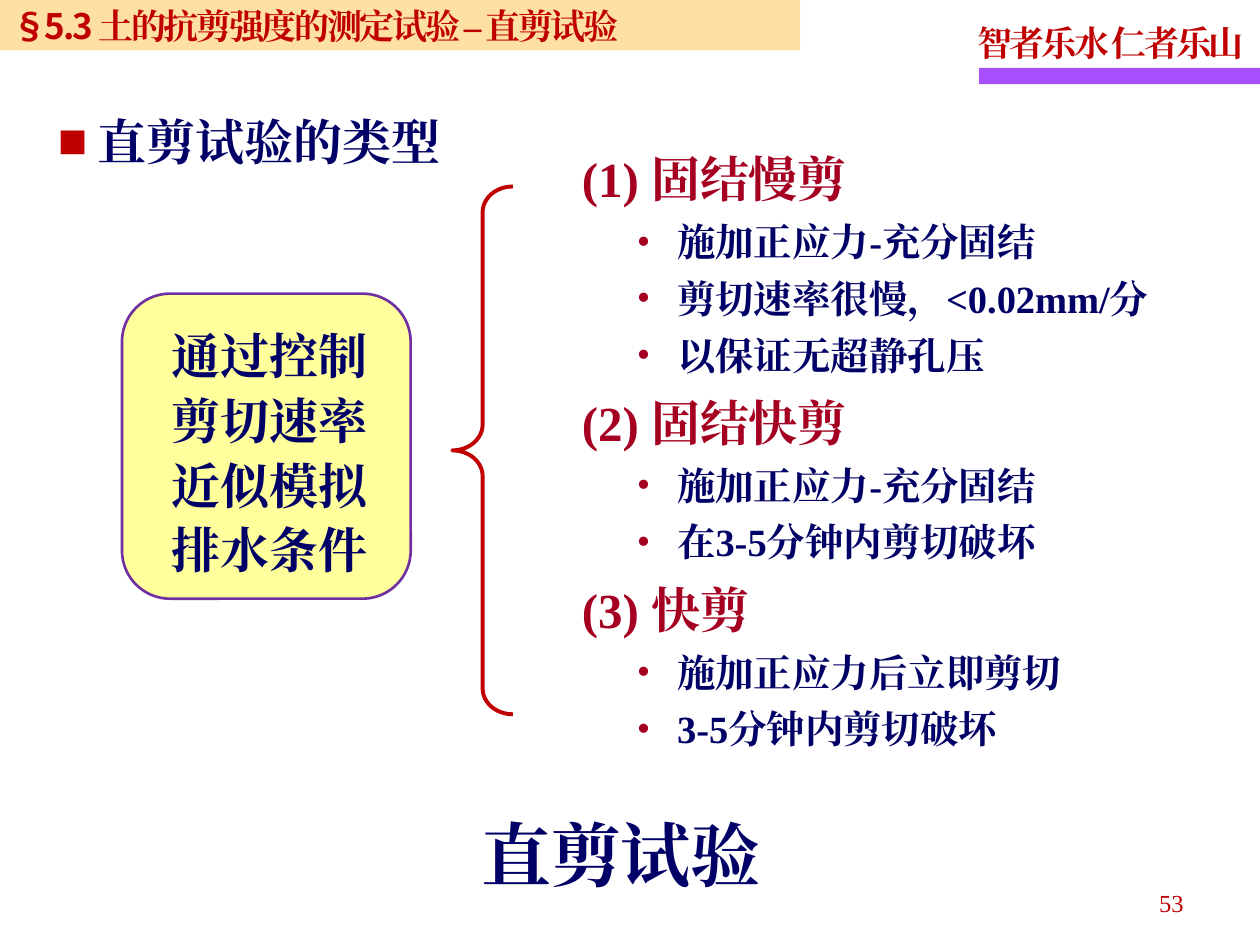
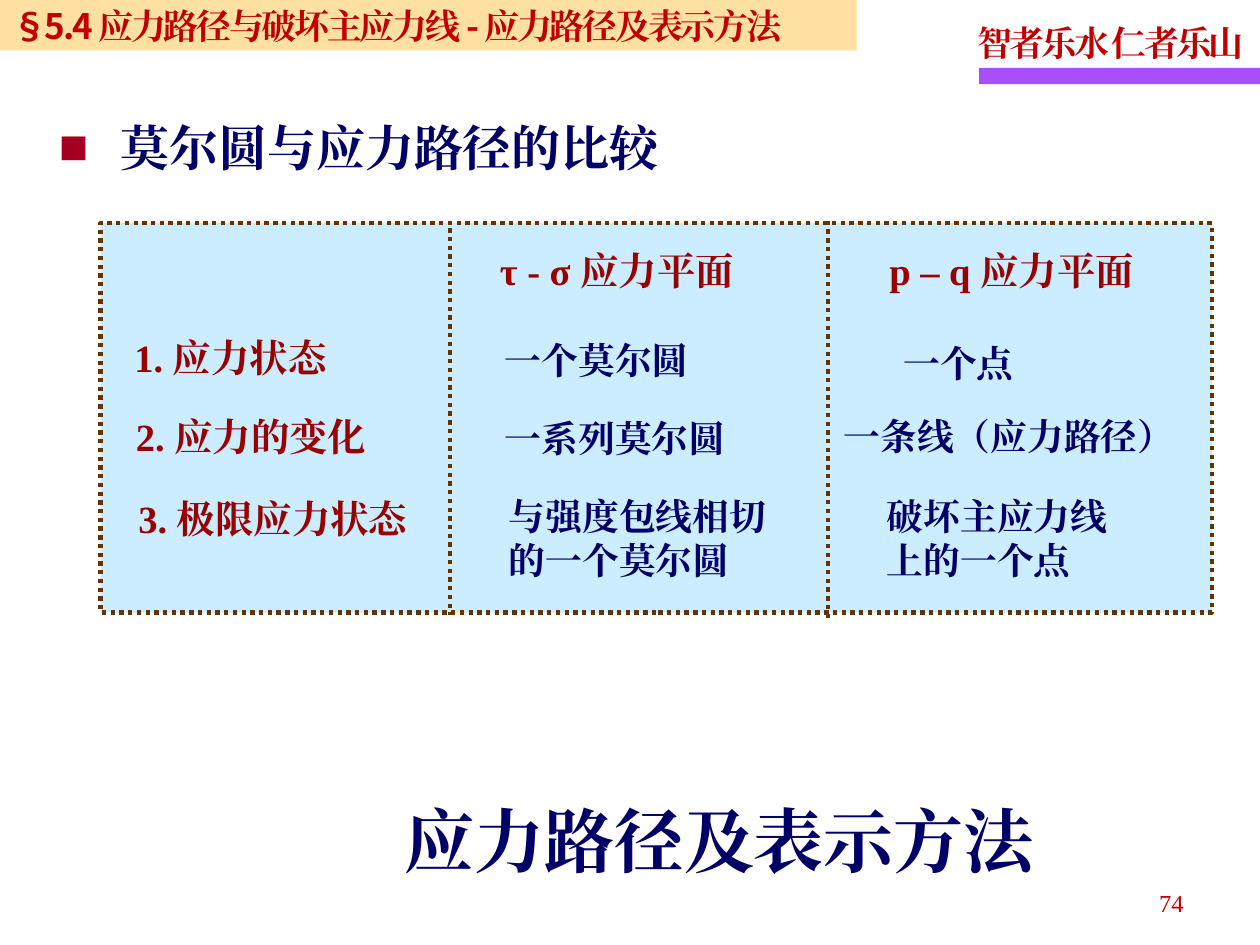
"""Build two soil mechanics slides: direct shear test types and a stress path comparison."""
from typing import NamedTuple, Optional

from lxml import etree
from pptx import Presentation
from pptx.dml.color import RGBColor
from pptx.enum import dml, shapes, text
from pptx.oxml import ns
from pptx.util import Cm, Pt

RED = RGBColor(0xC0, 0x00, 0x00)
CRIMSON = RGBColor(0xA5, 0x00, 0x21)
MAROON = RGBColor(0x99, 0x00, 0x00)
NAVY = RGBColor(0x00, 0x00, 0x66)
VIOLET = RGBColor(0xA7, 0x4F, 0xFF)
PURPLE = RGBColor(0x70, 0x30, 0xA0)
YELLOW = RGBColor(0xFF, 0xFF, 0x9C)
ORANGE = RGBColor(0xFF, 0xCC, 0x66)
SKY = RGBColor(0xCC, 0xEC, 0xFF)
BROWN = RGBColor(0x66, 0x33, 0x00)

SERIF = "Times New Roman"
SANS = "Noto Sans CJK SC"


class Area(NamedTuple):
    """Left, top, width and height in centimetres."""
    left: float
    top: float
    width: float
    height: float

    def lengths(self) -> list:
        """Return the four values as lengths."""
        return [Cm(value) for value in self]


class Style(NamedTuple):
    """Look of a run of text."""
    size: float
    color: RGBColor
    font: str = SERIF
    bold: bool = True
    tracking: float = 0


class Layout(NamedTuple):
    """Alignment and spacing of a paragraph."""
    align: Optional[text.PP_ALIGN] = None
    line: Optional[float] = None
    before: float = 0
    level: int = 0


class Bullet(NamedTuple):
    """Bullet sign, its colour, the text margin and the hanging indent."""
    sign: str
    color: RGBColor
    margin: float
    hanging: float


class Label(NamedTuple):
    """Words placed in one column of the comparison."""
    words: str
    area: Area
    style: Style


class Test(NamedTuple):
    """A kind of direct shear test with its features."""
    name: str
    features: tuple


HEADER = Style(20, RED, SANS, tracking=-1.4)
MOTTO = Style(20, RED, tracking=-1.7)
NUMBER = Style(14, RED, bold=False)
CAPTION = Style(40, NAVY)
TOPIC = Style(28, NAVY, SANS)
METHOD = Style(28, NAVY)
TEST_NAME = Style(28, CRIMSON)
FEATURE = Style(22, NAVY)
HEADING = Style(22, MAROON)
ENTRY = Style(21, NAVY, SANS)

CENTERED = Layout(text.PP_ALIGN.CENTER)
DOT = Bullet("•", CRIMSON, 1.92, 0.81)
NO_INSETS = (0, 0)
CELL_INSETS = (0.3, 0.15)

TESTS = (
    Test("(1) 固结慢剪", ("施加正应力-充分固结", "剪切速率很慢，<0.02mm/分", "以保证无超静孔压")),
    Test("(2) 固结快剪", ("施加正应力-充分固结", "在3-5分钟内剪切破坏")),
    Test("(3) 快剪", ("施加正应力后立即剪切", "3-5分钟内剪切破坏")),
)

COMPARISON = (
    Label("τ - σ 应力平面", Area(9.78, 4.83, 6.12, 1.24), HEADING),
    Label("p – q 应力平面", Area(17.63, 4.83, 6.17, 1.24), HEADING),
    Label("1. 应力状态", Area(2.41, 6.58, 4.9, 1.24), HEADING),
    Label("2. 应力的变化", Area(2.44, 8.18, 5.72, 1.24), HEADING),
    Label("3. 极限应力状态", Area(2.49, 9.83, 6.1, 1.24), HEADING),
    Label("一个莫尔圆", Area(9.88, 6.65, 4.5, 1.19), ENTRY),
    Label("一系列莫尔圆", Area(9.88, 8.23, 5.59, 1.19), ENTRY),
    Label("与强度包线相切的一个莫尔圆", Area(9.96, 9.8, 5.87, 2.11), ENTRY),
    Label("一个点", Area(17.91, 6.71, 3, 1.19), ENTRY),
    Label("一条线（应力路径）", Area(16.71, 8.2, 7.65, 1.19), ENTRY),
    Label("破坏主应力线上的一个点", Area(17.58, 9.8, 5.51, 2.11), ENTRY),
)


def child(parent, tag: str, **attributes: str):
    """Append a DrawingML element and return it."""
    return etree.SubElement(parent, ns.qn(tag), **attributes)


def add_bullet(para, bullet: Bullet) -> None:
    """Give a paragraph a coloured bullet and a hanging indent."""
    properties = para._p.get_or_add_pPr()
    properties.set("marL", str(Cm(bullet.margin)))
    properties.set("indent", str(-Cm(bullet.hanging)))
    child(child(properties, "a:buClr"), "a:srgbClr", val=str(bullet.color))
    child(properties, "a:buFont", typeface=SERIF)
    child(properties, "a:buChar", char=bullet.sign)


def write(para, words: str, style: Style, layout: Layout = Layout(),
          bullet: Optional[Bullet] = None) -> None:
    """Fill a paragraph with one styled run."""
    para.level = layout.level
    para.alignment = layout.align
    para.line_spacing = layout.line
    para.space_before = Pt(layout.before)
    if bullet:
        add_bullet(para, bullet)
    span = para.add_run()
    span.text = words
    span.font.size = Pt(style.size)
    span.font.bold = style.bold
    span.font.color.rgb = style.color
    span.font.name = style.font
    properties = span._r.get_or_add_rPr()
    child(properties, "a:ea", typeface=SERIF)
    if style.tracking:
        properties.set("spc", str(round(style.tracking * 100)))


def add_frame(page, area: Area, insets: tuple = (0.25, 0.13)):
    """Add a wrapping text box and return its text frame."""
    frame = page.shapes.add_textbox(*area.lengths()).text_frame
    frame.word_wrap = True
    frame.margin_left = frame.margin_right = Cm(insets[0])
    frame.margin_top = frame.margin_bottom = Cm(insets[1])
    return frame


def add_label(page, area: Area, words: str, style: Style, layout: Layout = Layout(),
              insets: tuple = (0.25, 0.13), bullet: Optional[Bullet] = None) -> None:
    """Add a text box with one paragraph."""
    write(add_frame(page, area, insets).paragraphs[0], words, style, layout, bullet)


def set_line(line, color: RGBColor, width: float, dotted: bool = False) -> None:
    """Set the colour, width and dash of a line."""
    line.color.rgb = color
    line.width = Pt(width)
    if dotted:
        line.dash_style = dml.MSO_LINE.ROUND_DOT


def add_block(page, kind: shapes.MSO_SHAPE, area: Area, fill: Optional[RGBColor] = None):
    """Add a flat shape without outline."""
    block = page.shapes.add_shape(kind, *area.lengths())
    block.shadow.inherit = False
    block.line.fill.background()
    if fill is None:
        block.fill.background()
    else:
        block.fill.solid()
        block.fill.fore_color.rgb = fill
    return block


def add_divider(page, x: float, top: float, bottom: float) -> None:
    """Add a dotted vertical line between two columns."""
    divider = page.shapes.add_connector(
        shapes.MSO_CONNECTOR.STRAIGHT, Cm(x), Cm(top), Cm(x), Cm(bottom))
    set_line(divider.line, BROWN, 2.5, dotted=True)
    child(divider._element.spPr, "a:effectLst")


def add_page(deck, header: str, header_width: float, number: str):
    """Add a slide with the motto, section band and page number."""
    page = deck.slides.add_slide(deck.slide_layouts[6])
    add_block(page, shapes.MSO_SHAPE.RECTANGLE, Area(19.74, 1.37, 5.66, 0.33), VIOLET)
    add_label(page, Area(19.46, 0.18, 5.94, 1.24), "智者乐水 仁者乐山", MOTTO, Layout(line=1.15))
    add_label(page, Area(18.19, 17.68, 5.92, 1.02), number, NUMBER,
              Layout(text.PP_ALIGN.RIGHT, 1.15))

    band = add_block(page, shapes.MSO_SHAPE.RECTANGLE, Area(0, 0, header_width, 1.02), ORANGE)
    color = band.fill._xPr.find(".//" + ns.qn("a:srgbClr"))
    child(color, "a:alpha", val="60000")
    band.text_frame.word_wrap = False
    band.text_frame.margin_left = Cm(0.25)
    band.text_frame.vertical_anchor = text.MSO_ANCHOR.MIDDLE
    write(band.text_frame.paragraphs[0], header, HEADER, Layout(text.PP_ALIGN.LEFT))
    return page


def build_test_types(deck) -> None:
    """Build the slide on the types of direct shear test."""
    page = add_page(deck, "§5.3 土的抗剪强度的测定试验 – 直剪试验", 16.13, "53")
    add_label(page, Area(1.17, 2.01, 8.66, 1.45), "直剪试验的类型", TOPIC, Layout(line=1.2),
              NO_INSETS, Bullet("■", RED, 0.8, 0.8))

    panel = add_block(page, shapes.MSO_SHAPE.ROUNDED_RECTANGLE,
                      Area(2.46, 5.92, 5.82, 6.15), YELLOW)
    set_line(panel.line, PURPLE, 1.5)
    add_label(page, Area(2.77, 6.32, 5.33, 5.51), "通过控制剪切速率近似模拟排水条件",
              METHOD, CENTERED._replace(line=1.1))

    brace = add_block(page, shapes.MSO_SHAPE.LEFT_BRACE, Area(9.12, 3.76, 1.22, 10.64))
    brace.adjustments[0] = 0.425
    set_line(brace.line, RED, 2.25)

    frame = add_frame(page, Area(11.73, 3, 12.7, 12.4), NO_INSETS)
    for index, test in enumerate(TESTS):
        para = frame.add_paragraph() if index else frame.paragraphs[0]
        write(para, test.name, TEST_NAME, Layout(before=8.4 if index else 0))
        for feature in test.features:
            write(frame.add_paragraph(), feature, FEATURE, Layout(before=6, level=1), DOT)

    add_label(page, Area(9.45, 16.23, 6.38, 1.96), "直剪试验", CAPTION)


def build_comparison(deck) -> None:
    """Build the slide comparing Mohr circles with stress paths."""
    page = add_page(deck, "§5.4 应力路径与破坏主应力线 - 应力路径及表示方法", 17.27, "74")
    add_label(page, Area(1.19, 2.13, 14.17, 1.24), "莫尔圆与应力路径的比较", TOPIC,
              Layout(line=1.2), NO_INSETS, Bullet("■", CRIMSON, 1.24, 1.24))

    grid = add_block(page, shapes.MSO_SHAPE.RECTANGLE, Area(2.03, 4.5, 22.4, 7.85), SKY)
    set_line(grid.line, BROWN, 2.5, dotted=True)
    add_divider(page, 9.07, 4.6, 12.4)
    add_divider(page, 16.69, 4.45, 12.45)
    for label in COMPARISON:
        add_label(page, label.area, label.words, label.style, insets=CELL_INSETS)

    add_label(page, Area(7.09, 15.95, 14.81, 1.96), "应力路径及表示方法", CAPTION, CENTERED)


def main() -> None:
    """Build and save the deck."""
    deck = Presentation()
    deck.slide_width, deck.slide_height = Cm(25.4), Cm(19.05)
    build_test_types(deck)
    build_comparison(deck)
    deck.save("out.pptx")


if __name__ == "__main__":
    main()
